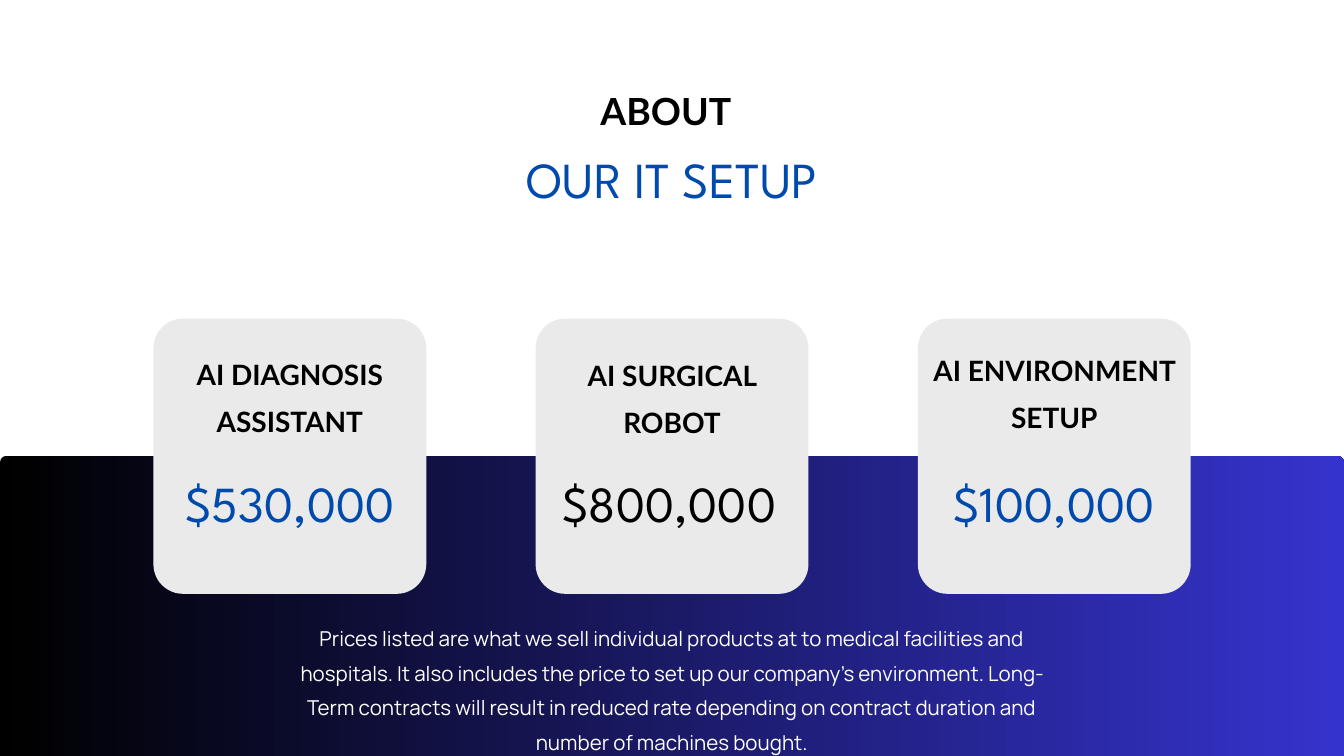
from pptx import Presentation
from pptx.dml.color import RGBColor
from pptx.enum.shapes import MSO_SHAPE
from pptx.enum.text import MSO_AUTO_SIZE, PP_ALIGN
from pptx.util import Inches, Pt

W = 10
H = W * 9 / 16
COLORS = {"black": "000000", "blue": "004AAD", "indigo": "3533CD",
          "card": "EAEAEA", "white": "FFFFFF"}
HEADING, DISPLAY, BODY = "Lato", "League Spartan", "Manrope"
CARDS = [("AI DIAGNOSIS ASSISTANT", "$530,000", "blue", 0.19, 0),
         ("AI SURGICAL ROBOT", "$800,000", "black", 0.2, -0.02),
         ("AI ENVIRONMENT SETUP", "$100,000", "blue", 0.16, 0)]
NOTE = ("Prices listed are what we sell individual products at to medical "
        "facilities and hospitals. It also includes the price to set up our "
        "company's environment. Long-Term contracts will result in reduced "
        "rate depending on contract duration and number of machines bought.")


def rgb(name):
    """Return the named palette colour."""
    return RGBColor.from_string(COLORS[name])


def share(x, y, w, h):
    """Turn percentages of the slide into a box in inches."""
    return x * W / 100, y * H / 100, w * W / 100, h * H / 100


def add_text(slide, box, text, size, font, color, bold=False):
    """Add centred text without margins in a box given in inches."""
    tb = slide.shapes.add_textbox(*map(Inches, box))
    tf = tb.text_frame
    tf.word_wrap = True
    tf.auto_size = MSO_AUTO_SIZE.SHAPE_TO_FIT_TEXT
    tf.margin_left = tf.margin_right = tf.margin_top = tf.margin_bottom = 0
    tf.text = text
    p = tf.paragraphs[0]
    p.alignment, p.line_spacing = PP_ALIGN.CENTER, 1.4
    f = p.runs[0].font
    f.size, f.name, f.bold = Pt(size), font, bold
    f.color.rgb = rgb(color)


def add_panel(slide, box, radius):
    """Add a borderless rounded rectangle with a corner radius in inches."""
    sp = slide.shapes.add_shape(MSO_SHAPE.ROUNDED_RECTANGLE, *map(Inches, box))
    sp.adjustments[0] = radius / min(box[2:])
    sp.shadow.inherit = False
    sp.line.fill.background()
    return sp


def add_band(slide, box):
    """Add the gradient band behind the cards."""
    fill = add_panel(slide, box, 0.05).fill
    fill.gradient()
    fill.gradient_angle = 0
    for stop, color in zip(fill.gradient_stops, ("black", "indigo")):
        stop.color.rgb = rgb(color)


def add_title(slide, box):
    """Add the two title lines."""
    x, y, w, h = box
    add_text(slide, (x + w * 0.23, y, w * 0.52, h * 0.4), "ABOUT", 20, HEADING, "black", True)
    add_text(slide, (x, y + h * 0.47, w, h * 0.53), "OUR IT SETUP", 27, DISPLAY, "blue")


def add_card(slide, box, label, price, color, inset, shift):
    """Add one price card with its label and price."""
    x, y, w, h = box
    fill = add_panel(slide, box, 0.22).fill
    fill.solid()
    fill.fore_color.rgb = rgb("card")
    add_text(slide, (x, y + inset, w, h * 0.3), label, 15, HEADING, "black", True)
    add_text(slide, (x + shift, y + h * 0.47, w, h * 0.22), price, 27, DISPLAY, color)


def add_cards(slide, box):
    """Spread the price cards evenly across the box."""
    x, y, w, h = box
    card_w = 2.03
    step = (w - card_w) / (len(CARDS) - 1)
    for i, card in enumerate(CARDS):
        add_card(slide, (x + i * step, y, card_w, h), *card)


def main():
    """Build and save the price slide."""
    prs = Presentation()
    prs.slide_width, prs.slide_height = Inches(W), Inches(H)
    slide = prs.slides.add_slide(prs.slide_layouts[6])
    slide.background.fill.solid()
    slide.background.fill.fore_color.rgb = rgb("white")
    add_band(slide, share(0, 60.3, 100, 41))
    add_title(slide, share(27.25, 9.25, 45.5, 15.1))
    add_cards(slide, share(11.42, 42.15, 77.18, 36.4))
    add_text(slide, share(22.05, 81.55, 55.9, 17.1), NOTE, 11, BODY, "white")
    prs.save("out.pptx")


if __name__ == "__main__":
    main()
